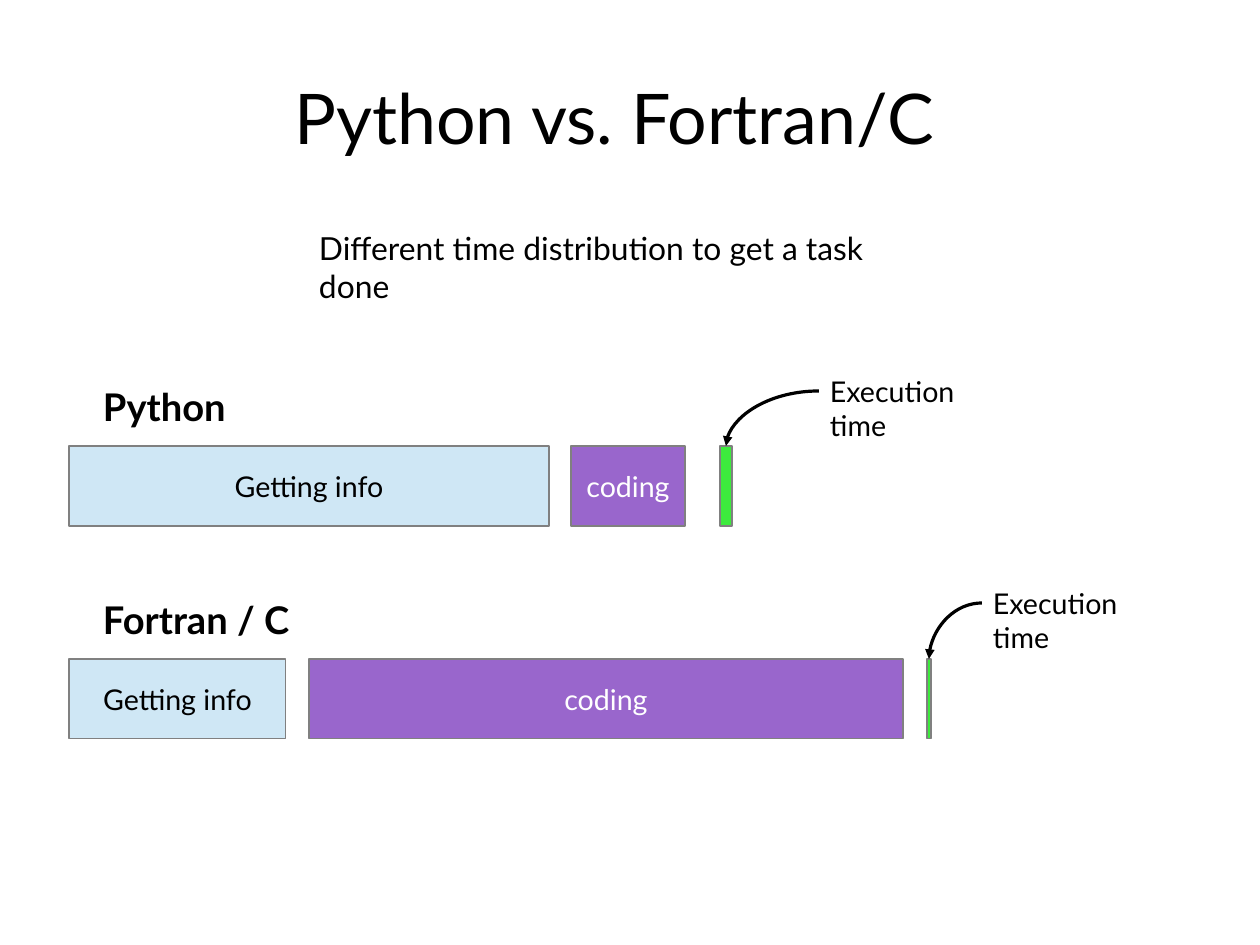
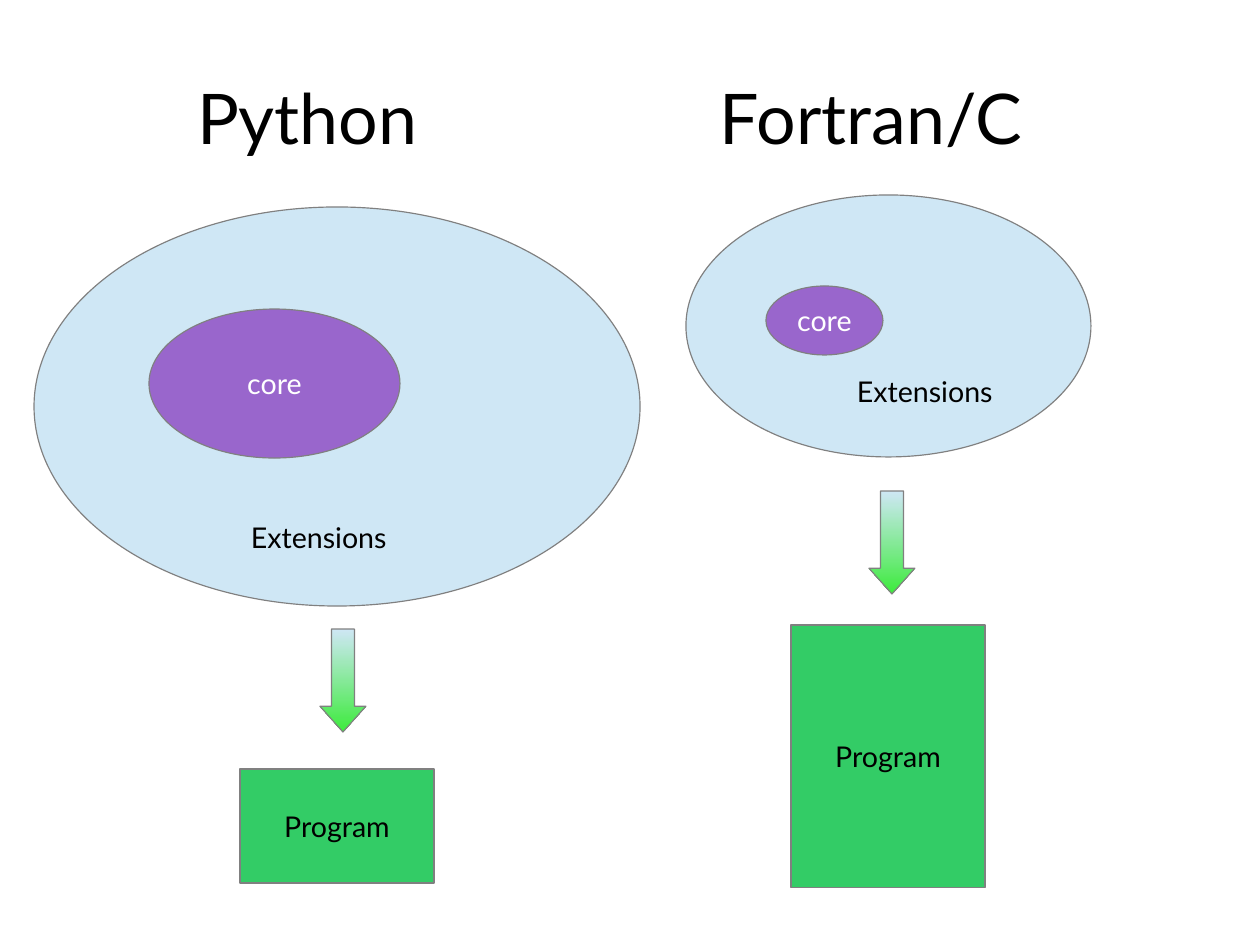
from pptx import Presentation
from pptx.dml.color import RGBColor
from pptx.enum.dml import MSO_FILL
from pptx.enum.shapes import MSO_CONNECTOR, MSO_SHAPE
from pptx.enum.text import MSO_ANCHOR, MSO_AUTO_SIZE, PP_ALIGN
from pptx.oxml.ns import qn
from pptx.oxml.xmlchemy import OxmlElement
from pptx.util import Emu, Pt

RECT, OVAL, DOWN = MSO_SHAPE.RECTANGLE, MSO_SHAPE.OVAL, MSO_SHAPE.DOWN_ARROW
CURVE = MSO_CONNECTOR.CURVE
LEFT, CENTER = PP_ALIGN.LEFT, PP_ALIGN.CENTER
TOP, MIDDLE = MSO_ANCHOR.TOP, MSO_ANCHOR.MIDDLE
NO_AUTOFIT = MSO_AUTO_SIZE.NONE

# Content
TITLE_1 = "Python vs. Fortran/C"
TITLE_2 = "Python\tFortran/C"
SUBTITLE = "Different time distribution to get a task done"
BAR_TEXTS = [("Getting info", "sky", "black"), ("coding", "purple", "white"),
             ("", "lime", "black")]
# Bars are (left, width); note is (left, top)
TIMELINES = [
    dict(name="Python", y=446, bars=[(69, 480), (571, 114), (720, 12)],
         note=(819, 368)),
    dict(name="Fortran / C", y=659, bars=[(69, 217), (309, 594), (927, 4)],
         note=(982, 580)),
]
# Boxes are (left, top, width, height); label and arrow are (left, top)
LANGUAGES = [
    dict(extensions=(34, 207, 606, 399), core=(149, 309, 251, 149),
         label=(240, 514), arrow=(320, 629), program=(240, 769, 194, 114)),
    dict(extensions=(686, 195, 405, 262), core=(766, 286, 117, 69),
         label=(846, 368), arrow=(869, 491), program=(791, 625, 194, 263)),
]

# Shared style
FONT = "Lato"
COLORS = dict(black="000000", white="FFFFFF", gray="808080", sky="CFE7F5",
              purple="9966CC", lime="3DEB3D", green="33CC66")
TITLE_BOX = (63, 38, 1103, 158)
BAR_H = 80


def px(n):
    return Emu(round(n * 8000))


def rgb(name):
    return RGBColor.from_string(COLORS[name])


def write(s, text, size=18, color="black", bold=False, align=LEFT, anchor=TOP,
          insets=(11, 6, 11, 6), tab=None):
    tf = s.text_frame
    tf.word_wrap = True
    tf.auto_size = NO_AUTOFIT
    tf.vertical_anchor = anchor
    (tf.margin_left, tf.margin_top,
     tf.margin_right, tf.margin_bottom) = map(px, insets)
    p = tf.paragraphs[0]
    p.alignment = align
    if tab:
        tabs = OxmlElement("a:tabLst")
        stop = OxmlElement("a:tab")
        stop.set("pos", str(px(tab)))
        stop.set("algn", "l")
        tabs.append(stop)
        p._p.get_or_add_pPr().append(tabs)
    r = p.add_run()
    r.text = text
    r.font.name, r.font.size, r.font.bold = FONT, Pt(size), bold
    r.font.color.rgb = rgb(color)


def add_text(slide, box, text, **fmt):
    write(slide.shapes.add_textbox(*map(px, box)), text, **fmt)


def add_box(slide, kind, box, fill, text="", color="black"):
    s = slide.shapes.add_shape(kind, *map(px, box))
    s.shadow.inherit = False
    s.fill.solid()
    s.fill.fore_color.rgb = rgb(fill)
    s.line.color.rgb = rgb("gray")
    s.line.width = Pt(0)
    if text:
        write(s, text, color=color, align=CENTER, anchor=MIDDLE)
    return s


def add_down_arrow(slide, x, y):
    s = add_box(slide, DOWN, (x, y, 46, 103), "sky")
    s.adjustments[0], s.adjustments[1] = 0.5, 0.56
    s.fill.gradient()
    s.fill.gradient_angle = 270
    for stop, position, name in zip(s.fill.gradient_stops, (0, 1), ("sky", "lime")):
        stop.position = position
        stop.color.rgb = rgb(name)


def add_curved_arrow(slide, *points):
    c = slide.shapes.add_connector(CURVE, *map(px, points))
    c.line.color.rgb = rgb("black")
    c.line.width = Pt(0)
    spPr = c._element.spPr
    spPr.find(qn("a:prstGeom")).set("prst", "curvedConnector2")
    tail = OxmlElement("a:tailEnd")
    tail.set("type", "triangle")
    spPr.find(qn("a:ln")).append(tail)
    spPr.append(OxmlElement("a:effectLst"))


def add_slide(prs, title, **fmt):
    slide = prs.slides.add_slide(prs.slide_layouts[5])
    s = slide.shapes.title
    s.left, s.top, s.width, s.height = map(px, TITLE_BOX)
    write(s, title, size=44, anchor=MIDDLE, **fmt)
    return slide


def build_timelines(prs):
    slide = add_slide(prs, TITLE_1, align=CENTER, insets=(0, 0, 0, 0))
    add_text(slide, (308, 223, 636, 90), SUBTITLE, size=20)
    for row in TIMELINES:
        y = row["y"]
        add_text(slide, (92, y - 69, 260, 57), row["name"], size=24, bold=True)
        for (x, w), (text, fill, color) in zip(row["bars"], BAR_TEXTS):
            add_box(slide, RECT, (x, y, w, BAR_H), fill, text, color)
        # The arrow runs from the note to the middle of the last bar
        note_x, note_y = row["note"]
        add_text(slide, (note_x, note_y, 190, 80), "Execution time")
        add_curved_arrow(slide, note_x, note_y + 23, x + w / 2, y)


def build_languages(prs):
    slide = add_slide(prs, TITLE_2, insets=(134, 0, 0, 0), tab=523)
    for lang in LANGUAGES:
        add_box(slide, OVAL, lang["extensions"], "sky")
        add_box(slide, OVAL, lang["core"], "purple", "core", "white")
        add_text(slide, (*lang["label"], 180, 46), "Extensions")
        add_down_arrow(slide, *lang["arrow"])
        add_box(slide, RECT, lang["program"], "green", "Program")


def main():
    prs = Presentation()
    prs.slide_width, prs.slide_height = px(1260), px(945)
    build_timelines(prs)
    build_languages(prs)
    prs.save("out.pptx")


if __name__ == "__main__":
    main()
